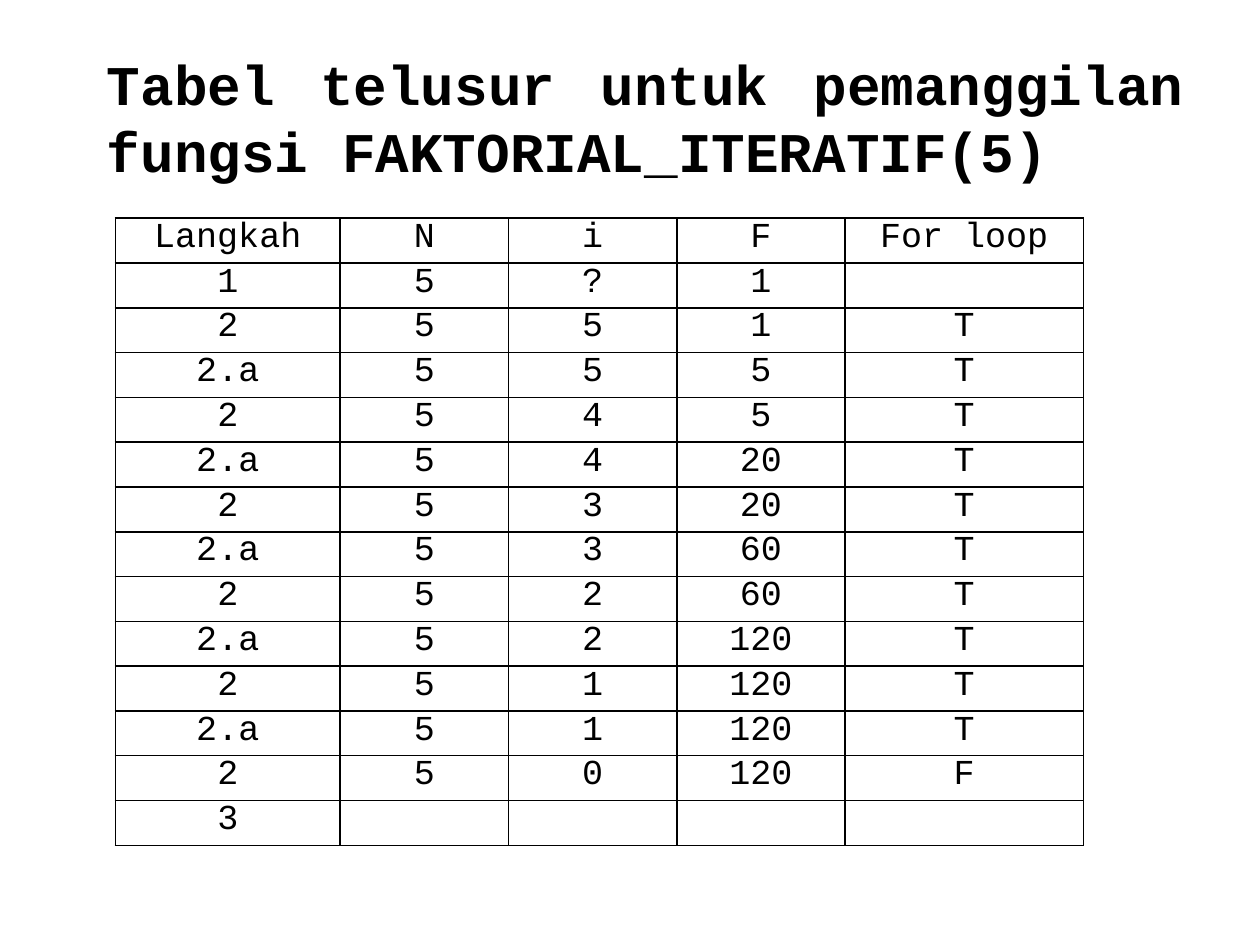
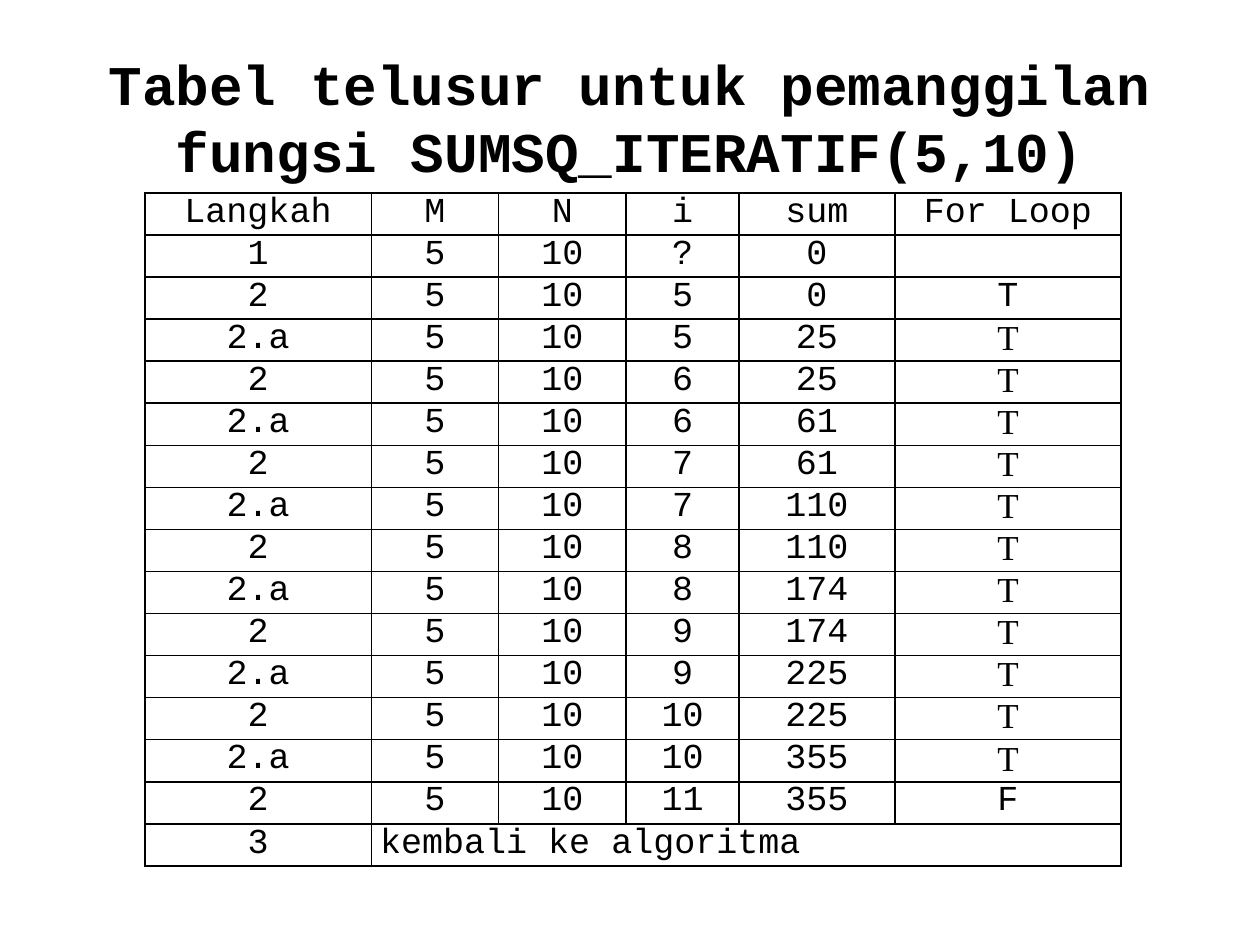
from lxml import etree
from pptx import Presentation
from pptx.dml.color import RGBColor
from pptx.enum.text import MSO_ANCHOR, PP_ALIGN
from pptx.oxml.ns import qn
from pptx.util import Pt

BLACK = RGBColor(0, 0, 0)
WHITE = RGBColor(255, 255, 255)
MONO = "Courier New"
SERIF = "Times New Roman"
LEFT, CENTER, JUSTIFY = PP_ALIGN.LEFT, PP_ALIGN.CENTER, PP_ALIGN.JUSTIFY
MIDDLE = MSO_ANCHOR.MIDDLE


class Deck:
    """Hold the shared style and the current slide."""

    def __init__(self):
        self.prs = Presentation()
        self.prs.slide_width, self.prs.slide_height = Pt(720), Pt(540)
        self.slide = None

    def page(self):
        self.slide = self.prs.slides.add_slide(self.prs.slide_layouts[6])
        fill = self.slide.background.fill
        fill.solid()
        fill.fore_color.rgb = WHITE

    def text(self, para, words, size, align, font=MONO, bold=False):
        para.alignment = align
        run = para.add_run()
        run.text = words
        run.font.size = Pt(size)
        run.font.name = font
        run.font.bold = bold
        run.font.color.rgb = BLACK

    def title(self, words, align=CENTER, indent=0):
        box = self.slide.shapes.add_textbox(Pt(36), Pt(21.6), Pt(648), Pt(90))
        frame = box.text_frame
        frame.word_wrap = True
        frame.vertical_anchor = MIDDLE
        para = frame.paragraphs[0]
        self.text(para, words, 32, align, bold=True)
        para._p.get_or_add_pPr().set("marL", str(Pt(indent)))

    def border(self, cell, sides):
        props = cell._tc.get_or_add_tcPr()
        for side in "LRTB":
            line = etree.SubElement(props, qn(f"a:ln{side}"), w=str(Pt(1)))
            if side in sides:
                fill = etree.SubElement(line, qn("a:solidFill"))
                etree.SubElement(fill, qn("a:srgbClr"), val=str(BLACK))
            else:
                etree.SubElement(line, qn("a:noFill"))

    def cell(self, cell, words, align=CENTER, font=MONO, sides="LRTB"):
        cell.margin_left = cell.margin_right = Pt(5)
        cell.margin_top = cell.margin_bottom = 0
        self.border(cell, sides)
        cell.fill.background()
        if words:
            self.text(cell.text_frame.paragraphs[0], words, 20, align, font)

    def table(self, left, top, widths, height, rows, serif=(), note=None):
        frame = self.slide.shapes.add_table(
            len(rows), len(widths), Pt(left), Pt(top),
            Pt(sum(widths)), Pt(height * len(rows)))
        grid = frame.table
        grid.first_row = grid.horz_banding = False
        for col, width in zip(grid.columns, widths):
            col.width = Pt(width)
        last = len(widths) - 1
        end = len(rows) - 1
        for r, row in enumerate(rows):
            grid.rows[r].height = Pt(height)
            for c, words in enumerate(row):
                if note and r == end and c > 0:
                    continue
                font = SERIF if c == last and r in serif else MONO
                self.cell(grid.cell(r, c), words, font=font)
        if note:
            for c in range(1, last):
                self.cell(grid.cell(end, c), note if c == 1 else "", LEFT,
                          sides="LTB" if c == 1 else "TB")
            self.cell(grid.cell(end, last), "", sides="RTB")
            grid.cell(end, 1).merge(grid.cell(end, last - 1))


def trace(head, fixed, counts, totals):
    """List the rows of a loop trace, two for each pass."""
    rows = [head, ["1", *fixed, "?", str(totals[0]), ""]]
    for count, old, new in zip(counts, totals, totals[1:]):
        rows.append(["2", *fixed, str(count), str(old), "T"])
        rows.append(["2.a", *fixed, str(count), str(new), "T"])
    rows.append(["2", *fixed, str(counts[-1]), str(totals[-1]), "F"])
    rows.append(["3"] + [""] * (len(head) - 1))
    return rows


def main():
    """Build both trace slides."""
    deck = Deck()

    deck.page()
    deck.title("Tabel telusur untuk pemanggilan fungsi FAKTORIAL_ITERATIF(5)",
               JUSTIFY, 18)
    rows = trace(["Langkah", "N", "i", "F", "For loop"], ["5"],
                 range(5, -1, -1), [1, 5, 20, 60, 120, 120])
    deck.table(66, 124.7, [128.4, 96.2, 96.2, 96.2, 136.2], 25.6, rows)

    deck.page()
    deck.title("Tabel telusur untuk pemanggilan fungsi SUMSQ_ITERATIF(5,10)")
    rows = trace(["Langkah", "M", "N", "i", "sum", "For Loop"], ["5", "10"],
                 range(5, 12), [0, 25, 61, 110, 174, 225, 355])
    deck.table(82.8, 110.2, [129.4, 72.8, 72.8, 64.6, 89, 129.4], 23.95, rows,
               serif=range(3, 14), note="kembali ke algoritma")

    deck.prs.save("out.pptx")


if __name__ == "__main__":
    main()
